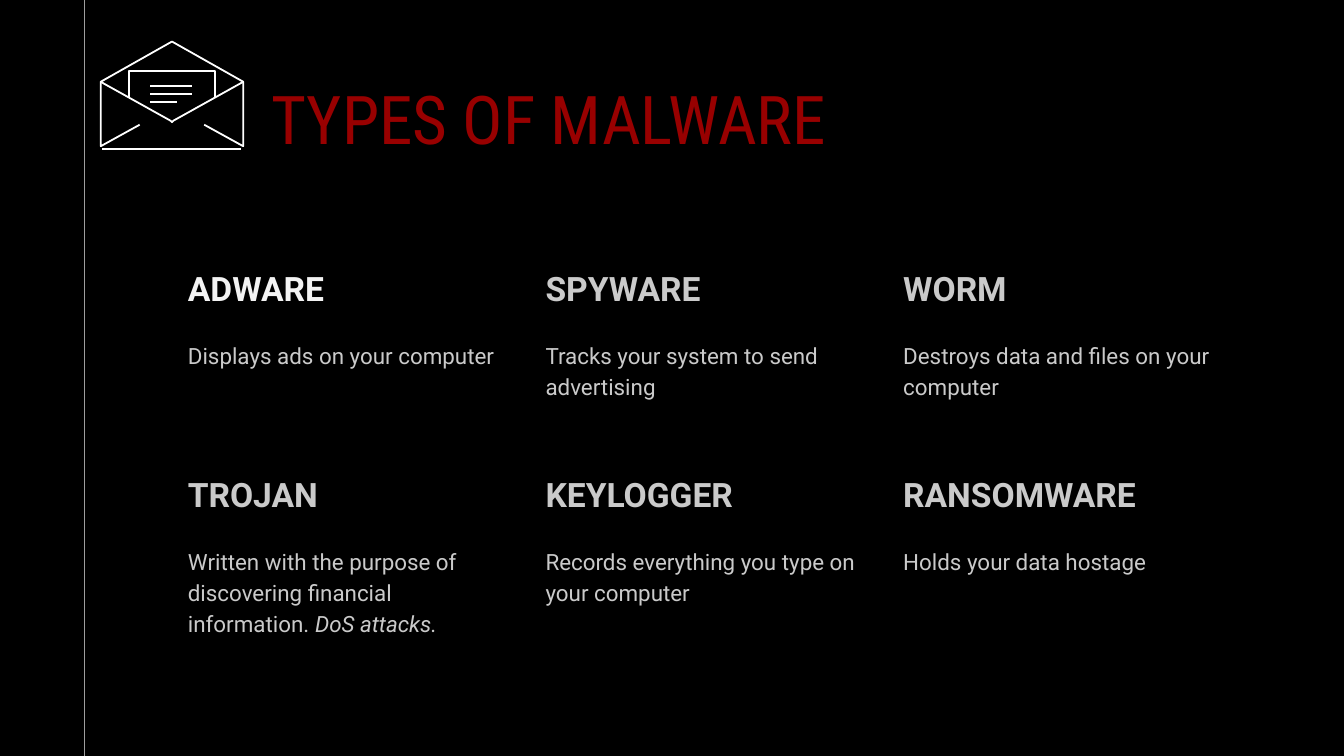
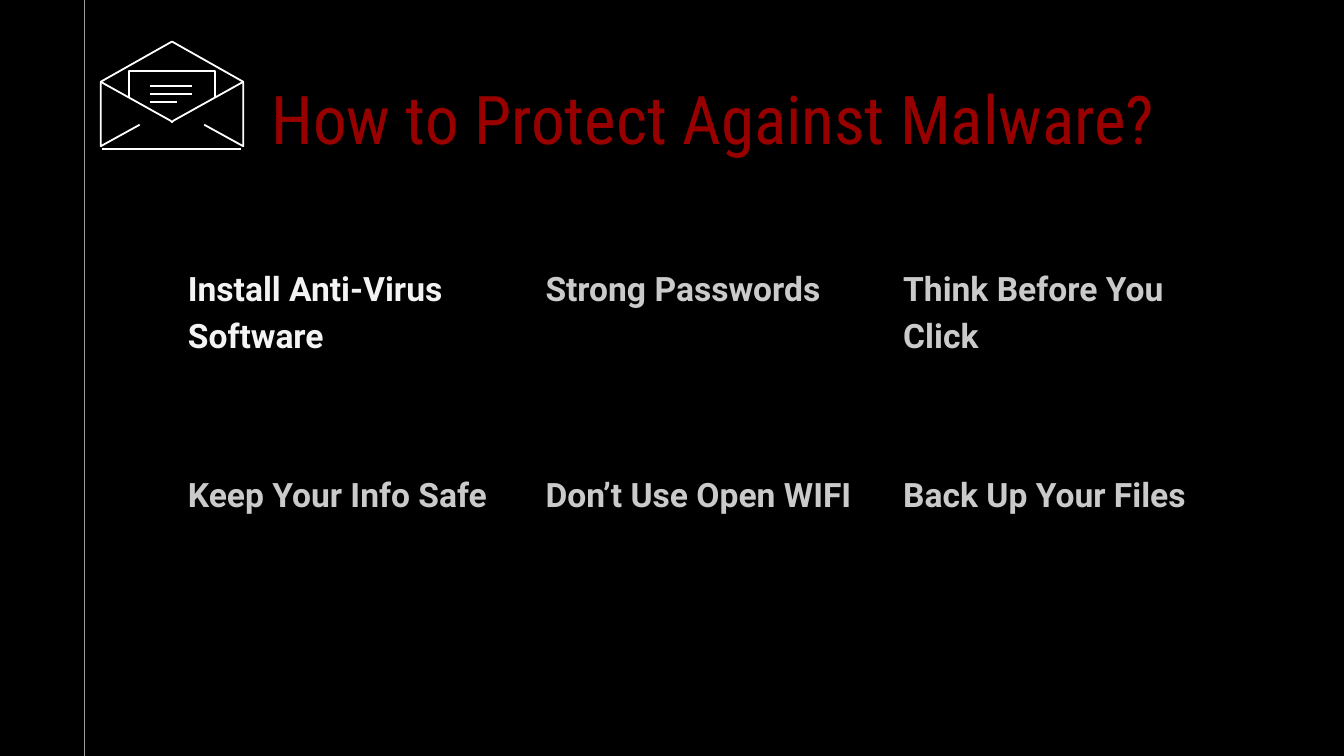
from dataclasses import dataclass

from lxml.etree import SubElement
from pptx import Presentation
from pptx.dml.color import RGBColor
from pptx.enum.shapes import MSO_CONNECTOR
from pptx.enum.text import MSO_ANCHOR, MSO_AUTO_SIZE, PP_ALIGN
from pptx.oxml.ns import qn
from pptx.util import Inches, Pt


@dataclass(frozen=True)
class Theme:
    """Colours, fonts and type sizes shared by the slides."""
    background: str = "000000"
    title: str = "980000"
    highlight: str = "F3F3F3"
    text: str = "CACACA"
    icon: str = "FFFFFF"
    rule: str = "9E9E9E"
    title_font: str = "Roboto Condensed"
    body_font: str = "Roboto"
    title_size: int = 36
    heading_size: int = 18
    description_size: int = 12
    icon_width: float = 0.96
    rule_width: float = 0.75
    line_spacing: float = 1.15
    space_after: int = 16
    inset: float = 0.1


@dataclass(frozen=True)
class Box:
    """A rectangle in EMU that can be divided by percentages or into a grid."""
    left: int
    top: int
    width: int
    height: int

    def point(self, x, y):
        """Return the point at the given percentages of the box."""
        return round(self.left + self.width * x / 100), round(self.top + self.height * y / 100)

    def inner(self, left, top, width, height):
        """Return the inner box at the given percentages."""
        x, y = self.point(left, top)
        return Box(x, y, round(self.width * width / 100), round(self.height * height / 100))

    def grid_cell(self, column, row, columns, rows, column_gap, row_gap):
        """Return one cell of an even grid with gaps in percent."""
        width = (100 - column_gap * (columns - 1)) / columns
        height = (100 - row_gap * (rows - 1)) / rows
        return self.inner(column * (width + column_gap), row * (height + row_gap), width, height)


THEME = Theme()
SLIDE = Box(0, 0, Inches(10), Inches(5.625))
TITLE_BOX = SLIDE.inner(19.2, 8.4, 75, 6.8)
CARDS_BOX = SLIDE.inner(13, 32.9, 78.5, 52.8)
ICON_BOX = SLIDE.inner(7.5, 5.5, 10.6, 14.2)

COLUMNS, ROWS = 3, 2
COLUMN_GAP, ROW_GAP = 1.7, 3

ICON_COLUMNS, ICON_ROWS = 106, 80
ENVELOPE_OUTLINES = (
    ((77, 62), (106, 78), (106, 30), (53, 0), (0, 30), (0, 78), (29, 62)),
    ((106, 30), (54, 59), (53, 60), (52, 59), (0, 30)),
    ((21, 42), (21, 22), (85, 22), (85, 42)),
)
ENVELOPE_STROKES = ((1, 104, 80), (37, 68, 33), (37, 68, 39), (37, 57, 45))

MALWARE_TYPES = (
    ("ADWARE", ("Displays ads on your computer",)),
    ("SPYWARE", ("Tracks your system to send advertising",)),
    ("WORM", ("Destroys data and files on your computer",)),
    ("TROJAN", ("Written with the purpose of discovering financial information. ",
                "DoS attacks.")),
    ("KEYLOGGER", ("Records everything you type on your computer",)),
    ("RANSOMWARE", ("Holds your data hostage",)),
)
PROTECTION_TIPS = (
    ("Install Anti-Virus Software", ()),
    ("Strong Passwords", ()),
    ("Think Before You Click", ()),
    ("Keep Your Info Safe", ()),
    ("Don’t Use Open WIFI", ()),
    ("Back Up Your Files", ()),
)


def format_run(run, font_name, size, colour, bold=False, italic=False):
    """Set the typeface, size, colour and style of a run."""
    font = run.font
    font.name, font.size = font_name, Pt(size)
    font.bold, font.italic = bold, italic
    font.color.rgb = RGBColor.from_string(colour)


def format_frame(text_frame):
    """Give a text frame the shared insets, wrapping and top anchor."""
    text_frame.word_wrap = True
    text_frame.auto_size = MSO_AUTO_SIZE.NONE
    text_frame.vertical_anchor = MSO_ANCHOR.TOP
    text_frame.margin_left = text_frame.margin_right = Inches(THEME.inset)
    text_frame.margin_top = text_frame.margin_bottom = Inches(THEME.inset)


def format_line(shape, colour, width):
    """Set the colour and width of a shape's line."""
    shape.line.color.rgb = RGBColor.from_string(colour)
    shape.line.width = Pt(width)


def add_stroke(shapes, start, end, colour, width):
    """Draw a straight line without a shadow."""
    connector = shapes.add_connector(MSO_CONNECTOR.STRAIGHT, *start, *end)
    format_line(connector, colour, width)
    SubElement(connector._element.spPr, qn("a:effectLst"))


def add_title(slide, box, text):
    """Place and format the slide's title placeholder."""
    title = slide.shapes.title
    title.left, title.top, title.width, title.height = box.left, box.top, box.width, box.height
    format_frame(title.text_frame)
    title.text_frame.text = text
    paragraph = title.text_frame.paragraphs[0]
    paragraph.alignment = PP_ALIGN.LEFT
    format_run(paragraph.runs[0], THEME.title_font, THEME.title_size, THEME.title)


def add_card(slide, box, heading, description, heading_colour):
    """Write a bold heading and its optional description, ending in italics."""
    text_box = slide.shapes.add_textbox(box.left, box.top, box.width, box.height)
    text_frame = text_box.text_frame
    format_frame(text_frame)
    text_frame.text = heading
    format_run(text_frame.paragraphs[0].runs[0], THEME.body_font, THEME.heading_size,
               heading_colour, bold=True)
    if description:
        paragraph = text_frame.add_paragraph()
        for index, text in enumerate(description):
            run = paragraph.add_run()
            run.text = text
            format_run(run, THEME.body_font, THEME.description_size, THEME.text,
                       italic=index > 0)
    for paragraph in text_frame.paragraphs:
        paragraph.line_spacing = THEME.line_spacing
        paragraph.space_after = Pt(THEME.space_after)


def add_cards(slide, box, cards):
    """Lay the cards out row by row, with the first heading highlighted."""
    for index, (heading, description) in enumerate(cards):
        row, column = divmod(index, COLUMNS)
        cell = box.grid_cell(column, row, COLUMNS, ROWS, COLUMN_GAP, ROW_GAP)
        colour = THEME.text if index else THEME.highlight
        add_card(slide, cell, heading, description, colour)


def add_envelope(slide, box):
    """Draw the open envelope with its letter as one group."""
    shapes = slide.shapes.add_group_shape().shapes
    scale = (box.width / ICON_COLUMNS, box.height / ICON_ROWS)
    for start, *points in ENVELOPE_OUTLINES:
        builder = shapes.build_freeform(*start, scale=scale)
        builder.add_line_segments(points, close=False)
        outline = builder.convert_to_shape(box.left, box.top)
        outline.shadow.inherit = False
        outline.fill.background()
        format_line(outline, THEME.icon, THEME.icon_width)
    for left, right, row in ENVELOPE_STROKES:
        start, end = (box.point(column / ICON_COLUMNS * 100, row / ICON_ROWS * 100)
                      for column in (left, right))
        add_stroke(shapes, start, end, THEME.icon, THEME.icon_width)


def add_card_slide(presentation, title, cards):
    """Add a titled slide with a grid of cards, an envelope and a side rule."""
    slide = presentation.slides.add_slide(presentation.slide_layouts.get_by_name("Title Only"))
    add_title(slide, TITLE_BOX, title)
    add_cards(slide, CARDS_BOX, cards)
    add_envelope(slide, ICON_BOX)
    add_stroke(slide.shapes, SLIDE.point(6.3, -1), SLIDE.point(6.3, 101),
               THEME.rule, THEME.rule_width)


def main():
    """Build and save the presentation."""
    presentation = Presentation()
    presentation.slide_width, presentation.slide_height = SLIDE.width, SLIDE.height
    background = presentation.slide_master.background.fill
    background.solid()
    background.fore_color.rgb = RGBColor.from_string(THEME.background)
    add_card_slide(presentation, "TYPES OF MALWARE", MALWARE_TYPES)
    add_card_slide(presentation, "How to Protect Against Malware?", PROTECTION_TIPS)
    presentation.save("out.pptx")


if __name__ == "__main__":
    main()
